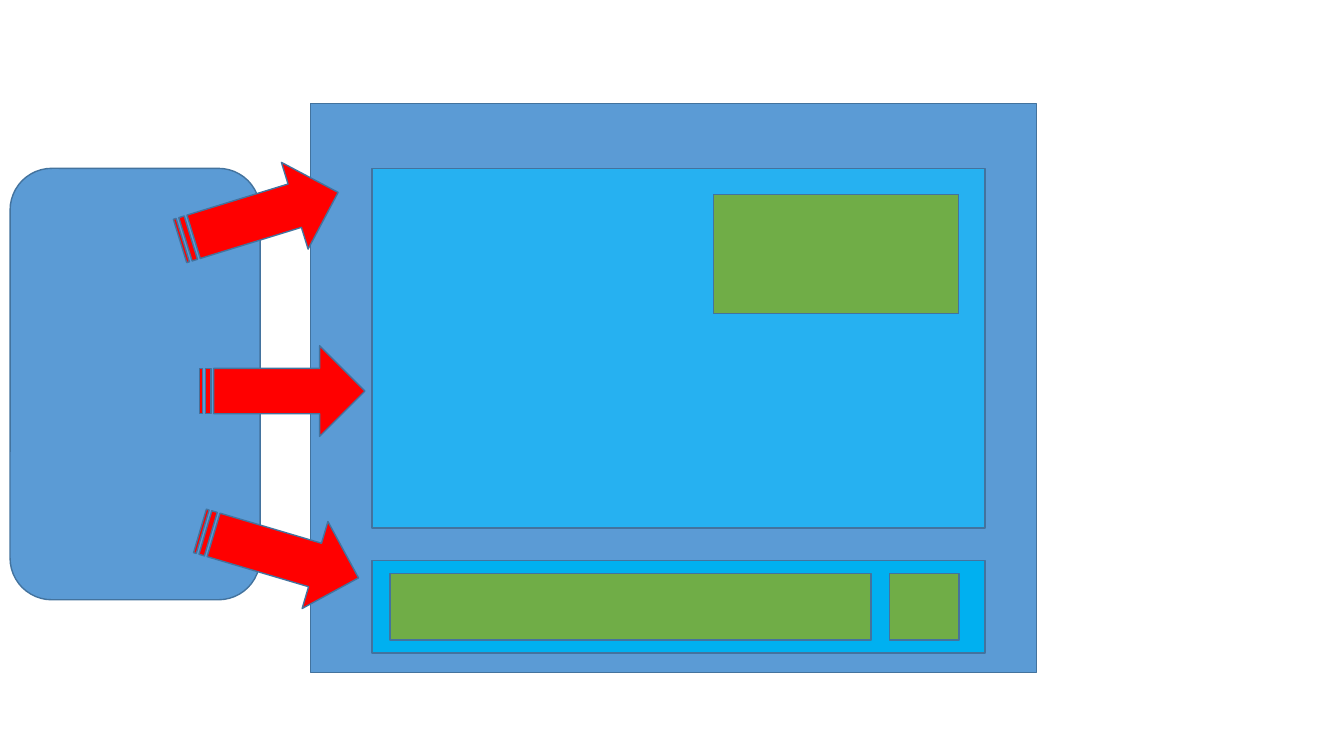
"""Build a slide of a rounded source block with three arrows into a nested panel layout."""
from pptx import Presentation
from pptx.dml.color import RGBColor
from pptx.enum.shapes import MSO_SHAPE
from pptx.util import Pt

PX = 9144
BLUE = RGBColor(0x5B, 0x9B, 0xD5)
SKY = RGBColor(0x26, 0xB1, 0xF1)
CYAN = RGBColor(0x00, 0xB0, 0xF0)
GREEN = RGBColor(0x70, 0xAD, 0x47)
RED = RGBColor(0xFF, 0x00, 0x00)
OUTLINE = RGBColor(0x43, 0x73, 0x9E)

deck = Presentation()
deck.slide_width, deck.slide_height = 1333 * PX, 750 * PX
page = deck.slides.add_slide(deck.slide_layouts[6])


def add_block(kind, left, top, width, height, color):
    """Add one outlined block, measured in px."""
    block = page.shapes.add_shape(kind, left * PX, top * PX, width * PX, height * PX)
    block.shadow.inherit = False
    block.fill.solid()
    block.fill.fore_color.rgb = color
    block.line.color.rgb = OUTLINE
    block.line.width = Pt(1)
    return block


add_block(MSO_SHAPE.ROUNDED_RECTANGLE, 10, 167, 248, 428, BLUE)

panels = [
    (308, 103, 720, 564, BLUE),
    (369, 167, 608, 357, SKY),
    (708, 193, 243, 118, GREEN),
    (369, 556, 608, 92, CYAN),
    (882, 569, 69, 66, GREEN),
    (387, 569, 477, 66, GREEN),
]
for left, top, width, height, color in panels:
    add_block(MSO_SHAPE.RECTANGLE, left, top, width, height, color)

for left, top, angle in [(175, 170, 342.9), (198, 343, 0), (195, 505, 16.5)]:
    arrow = add_block(MSO_SHAPE.STRIPED_RIGHT_ARROW, left, top, 164, 90, RED)
    arrow.rotation = angle

deck.save("out.pptx")
